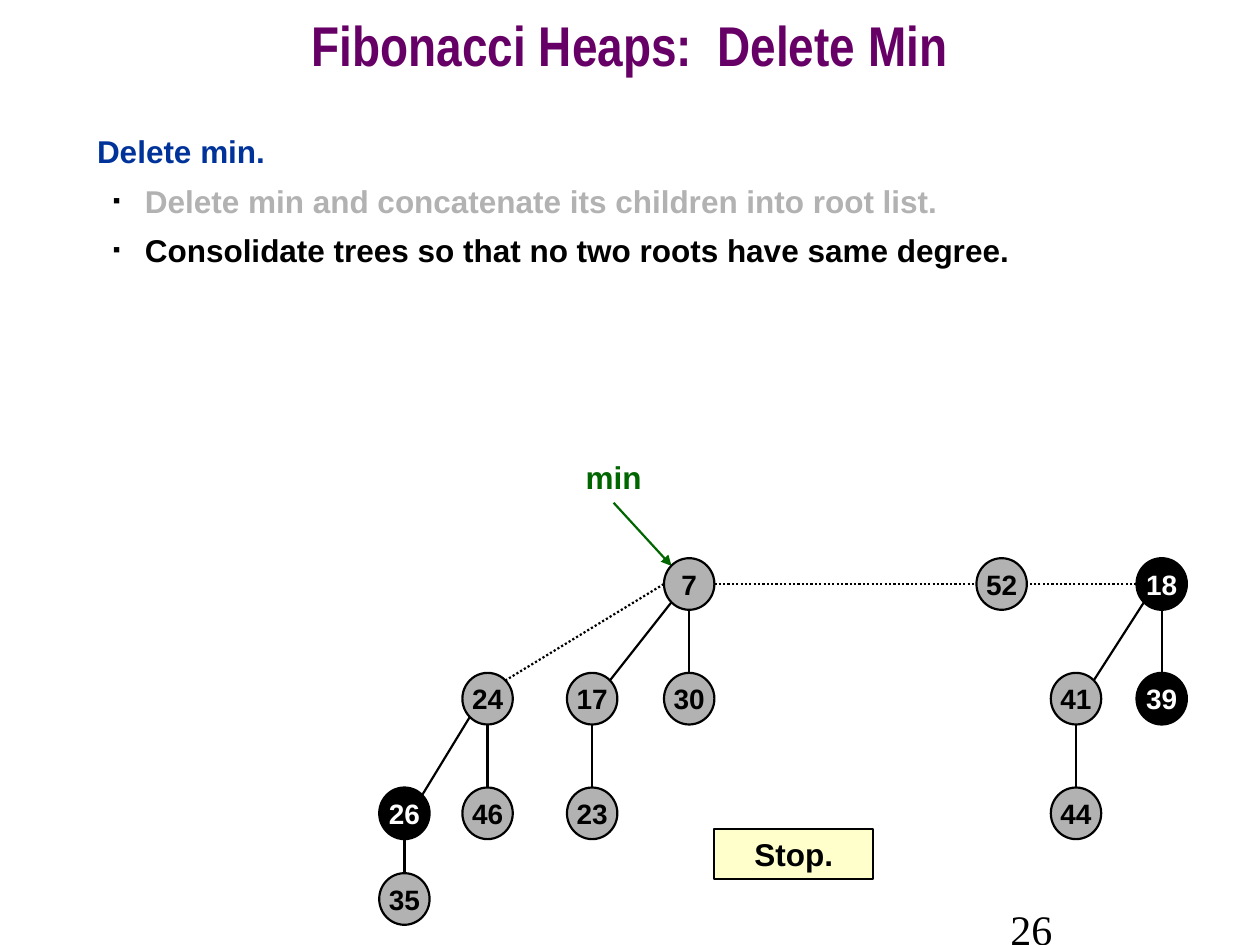
from lxml.etree import SubElement
from pptx import Presentation
from pptx.dml.color import RGBColor
from pptx.enum.dml import MSO_LINE_DASH_STYLE as DASH
from pptx.enum.shapes import MSO_CONNECTOR as CONN, MSO_SHAPE as SHAPE
from pptx.enum.text import MSO_ANCHOR as ANCHOR, MSO_AUTO_SIZE as FIT, PP_ALIGN as ALIGN
from pptx.oxml.ns import qn
from pptx.util import Inches, Pt

# Content
TITLE = "Fibonacci Heaps:  Delete Min"
HEADING = "Delete min."
STEPS = [
    ("Delete min and concatenate its children into root list.", "gray"),
    ("Consolidate trees so that no two roots have same degree.", "black"),
]
# key: (column, row)
NODES = {
    "7": (4, 1), "52": (5, 1), "18": (7, 1),
    "24": (1, 2), "17": (2, 2), "30": (4, 2), "41": (6, 2), "39": (7, 2),
    "26": (0, 3), "46": (1, 3), "23": (2, 3), "44": (6, 3),
    "35": (0, 4),
    "min": (3, 0),
}
MARKED = {"18", "39", "26"}
# child, side, parent, side
EDGES = [
    ("39", "N", "18", "S"), ("30", "N", "7", "S"), ("23", "N", "17", "S"),
    ("35", "N", "26", "S"), ("46", "N", "24", "S"), ("44", "N", "41", "S"),
    ("26", "NE", "24", "SW"), ("17", "NE", "7", "SW"), ("41", "NE", "18", "SW"),
]
DOTTED = [("18", "W", "52", "E"), ("24", "NE", "7", "W"), ("7", "E", "52", "W")]
POINTER = ("7", "NW", "min", "S")

COLORS = {
    "purple": "660066", "blue": "003399", "gray": "B2B2B2", "black": "000000",
    "marked": "010000", "white": "FFFFFF", "green": "006600", "cream": "FFFFCC",
}

# Grid of node positions, in inches
COLS = [3.01, 3.67, 4.5, 4.67, 5.27, 7.75, 8.34, 9.02]
ROWS = [3.58, 4.43, 5.34, 6.25, 6.93]
NODE_W, NODE_H = 0.4, 0.41
DIAG = 0.7
SIDES = {
    "N": (0, -1), "S": (0, 1), "W": (-1, 0), "E": (1, 0),
    "NE": (DIAG, -DIAG), "NW": (-DIAG, -DIAG), "SW": (-DIAG, DIAG),
}


def rgb(name):
    return RGBColor.from_string(COLORS[name])


def box(x, y, w, h):
    return [Inches(v) for v in (x, y, w, h)]


def place(sp, *at):
    sp.left, sp.top, sp.width, sp.height = box(*at)


def add_run(p, text, size, color, font="Arial", bold=True):
    r = p.add_run()
    r.text = text
    r.font.name, r.font.size, r.font.bold = font, Pt(size), bold
    r.font.color.rgb = rgb(color)


def set_bullet(p, left=0, indent=0, char=None):
    pPr = p._p.get_or_add_pPr()
    pPr.set("marL", str(Inches(left)))
    pPr.set("indent", str(Inches(indent)))
    if char is None:
        SubElement(pPr, qn("a:buNone"))
        return
    SubElement(SubElement(pPr, qn("a:buClr")), qn("a:srgbClr"), val=COLORS["black"])
    SubElement(pPr, qn("a:buSzPct"), val="35000")
    SubElement(pPr, qn("a:buFont"), typeface="Arial")
    SubElement(pPr, qn("a:buChar"), char=char)


def add_box(kind, at, text, size, color, fill=None):
    sp = slide.shapes.add_shape(kind, *box(*at))
    sp.shadow.inherit = False
    if fill:
        sp.fill.solid()
        sp.fill.fore_color.rgb = rgb(fill)
        sp.line.color.rgb = rgb("black")
        sp.line.width = Pt(1.25)
    else:
        sp.fill.background()
        sp.line.fill.background()
    tf = sp.text_frame
    tf.vertical_anchor = ANCHOR.MIDDLE
    tf.word_wrap = False
    p = tf.paragraphs[0]
    p.alignment = ALIGN.CENTER
    add_run(p, text, size, color)


def anchor(key, side):
    col, row = NODES[key]
    dx, dy = SIDES[side]
    return (Inches(COLS[col] + NODE_W / 2 * (1 + dx)),
            Inches(ROWS[row] + NODE_H / 2 * (1 + dy)))


def add_edge(a, a_side, b, b_side, color="black"):
    ln = slide.shapes.add_connector(CONN.STRAIGHT, *anchor(a, a_side), *anchor(b, b_side))
    ln.line.color.rgb = rgb(color)
    ln.line.width = Pt(1.25)
    SubElement(ln._element.spPr, qn("a:effectLst"))
    return ln


prs = Presentation()
prs.slide_width, prs.slide_height = Inches(10), Inches(7.5)
slide = prs.slides.add_slide(prs.slide_layouts[1])
title, body = slide.placeholders

# Title
place(title, 0, 0, 10, 0.83)
tf = title.text_frame
tf.auto_size, tf.vertical_anchor = FIT.NONE, ANCHOR.MIDDLE
p = tf.paragraphs[0]
p.alignment, p.line_spacing = ALIGN.CENTER, 0.7
add_run(p, TITLE, 32, "purple", "Arial Narrow")

# Heading and steps
place(body, 0.67, 1, 8.58, 5.92)
tf = body.text_frame
tf.auto_size = FIT.NONE
p = tf.paragraphs[0]
set_bullet(p)
p.space_before = Pt(0)
add_run(p, HEADING, 18, "blue")
for text, color in STEPS:
    p = tf.add_paragraph()
    p.level = 1
    set_bullet(p, 0.38, -0.25, "■")
    p.line_spacing, p.space_before = 1.1, Pt(4.5)
    add_run(p, text, 18, color)

# Heap edges and the min pointer
for edge in EDGES:
    add_edge(*edge)
for edge in DOTTED:
    add_edge(*edge).line.dash_style = DASH.ROUND_DOT
arrow = add_edge(*POINTER, color="green")
SubElement(arrow.line._get_or_add_ln(), qn("a:headEnd"), type="triangle")

# Heap nodes and the min label
for key, (col, row) in NODES.items():
    at = COLS[col], ROWS[row], NODE_W, NODE_H
    if key == "min":
        add_box(SHAPE.OVAL, at, key, 18, "green")
    elif key in MARKED:
        add_box(SHAPE.OVAL, at, key, 16, "white", "marked")
    else:
        add_box(SHAPE.OVAL, at, key, 16, "black", "gray")

# Result box
add_box(SHAPE.RECTANGLE, (5.67, 6.58, 1.26, 0.4), "Stop.", 18, "black", "cream")

# Page number
tf = slide.shapes.add_textbox(*box(7.92, 7.12, 2.08, 0.5)).text_frame
tf.word_wrap, tf.vertical_anchor = True, ANCHOR.MIDDLE
add_run(tf.paragraphs[0], "26", 24, "black", "Times New Roman", False)

prs.save("out.pptx")
